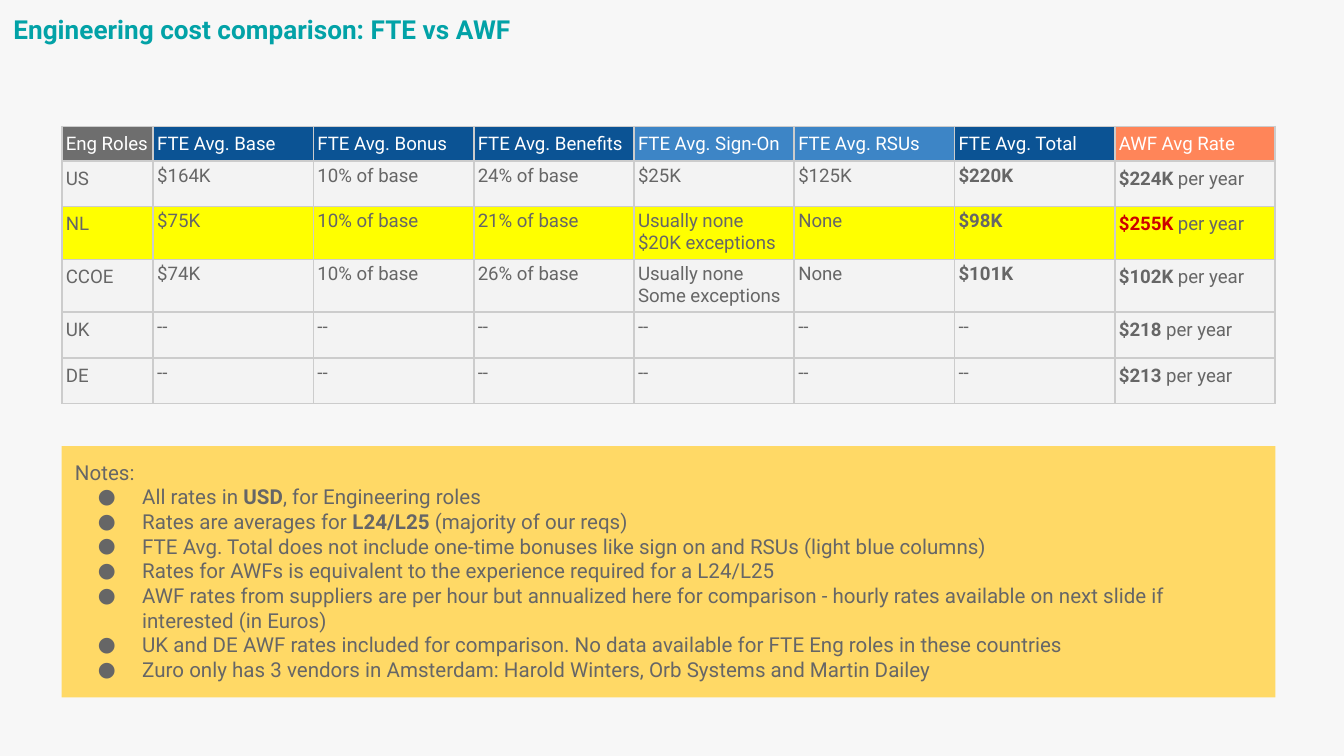
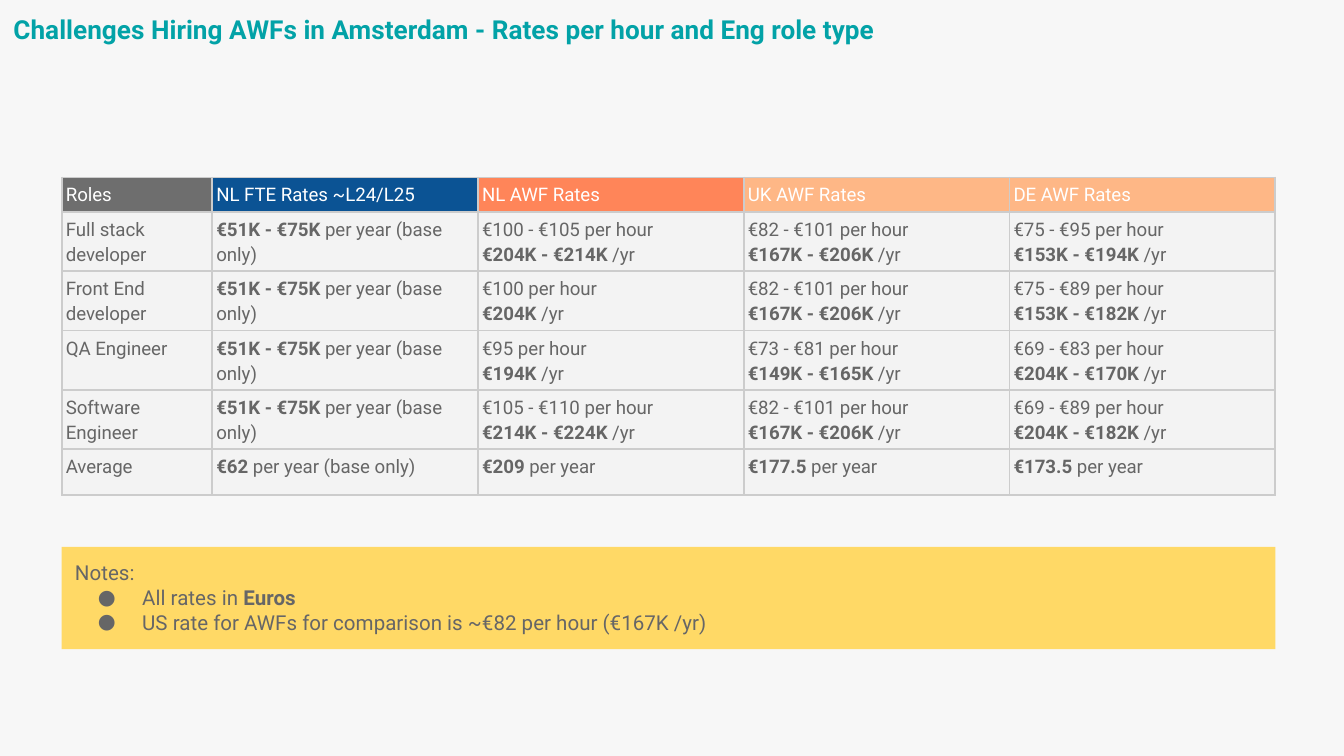
from dataclasses import dataclass

from lxml import etree
from pptx import Presentation
from pptx.dml.color import RGBColor
from pptx.enum.shapes import MSO_SHAPE
from pptx.enum.text import MSO_ANCHOR, MSO_AUTO_SIZE, PP_ALIGN
from pptx.oxml.ns import qn
from pptx.util import Inches, Pt

RECTANGLE = MSO_SHAPE.RECTANGLE
TOP = MSO_ANCHOR.TOP
LEFT = PP_ALIGN.LEFT
NO_FIT = MSO_AUTO_SIZE.NONE
GROW = MSO_AUTO_SIZE.SHAPE_TO_FIT_TEXT

FONT = "Roboto"
PAPER = RGBColor(0xF7, 0xF7, 0xF7)
TEAL = RGBColor(0x02, 0xA2, 0xA7)
GREY_TEXT = RGBColor(0x66, 0x66, 0x66)
WHITE = RGBColor(0xFF, 0xFF, 0xFF)
RED = RGBColor(0xCC, 0x00, 0x00)
NOTE_YELLOW = RGBColor(0xFF, 0xD9, 0x66)
HIGHLIGHT = RGBColor(0xFF, 0xFF, 0x00)
CELL_GREY = RGBColor(0xF3, 0xF3, 0xF3)
BORDER = RGBColor(0xCC, 0xCC, 0xCC)
DARK_GREY = RGBColor(0x6E, 0x6E, 0x6E)
DARK_BLUE = RGBColor(0x0B, 0x53, 0x94)
LIGHT_BLUE = RGBColor(0x3D, 0x85, 0xC6)
ORANGE = RGBColor(0xFF, 0x85, 0x59)
PEACH = RGBColor(0xFE, 0xB7, 0x86)

PAGE_WIDTH = 10
PAGE_HEIGHT = PAGE_WIDTH * 9 / 16
MARGIN = 0.46
CONTENT_WIDTH = 9.03
HEADER_HEIGHT = 0.23
ROW_HEIGHT = 0.34
LOOSE = 1.15
NOTE_SIZE = 11


@dataclass(frozen=True)
class Header:
    text: str
    fill: RGBColor


@dataclass(frozen=True)
class Row:
    cells: list[str]
    fill: RGBColor = CELL_GREY


@dataclass(frozen=True)
class RateTable:
    top: float
    first_width: float
    headers: list[Header]
    rows: list[Row]
    tight_columns: range = range(0)


@dataclass(frozen=True)
class Notes:
    top: float
    height: float
    items: list[str]


@dataclass(frozen=True)
class RatePage:
    title: str
    table: RateTable
    notes: Notes


def write(para, text: str, *, size: float, color: RGBColor = GREY_TEXT,
          bold: bool = False, spacing: float | None = None) -> None:
    """Parts between asterisks are bold; a leading ! also makes them red."""
    para.alignment = LEFT
    if spacing:
        para.line_spacing = spacing
    for index, part in enumerate(text.split("*")):
        if not part:
            continue
        span = para.add_run()
        span.text = part.removeprefix("!")
        span.font.name = FONT
        span.font.size = Pt(size)
        span.font.bold = bold or index % 2 == 1
        span.font.color.rgb = RED if part.startswith("!") else color


def add_bullet(para) -> None:
    properties = para._p.get_or_add_pPr()
    properties.set("marL", str(Inches(0.5)))
    properties.set("indent", str(Inches(-0.33)))
    color = etree.SubElement(properties, qn("a:buClr"))
    etree.SubElement(color, qn("a:srgbClr"), val=str(GREY_TEXT))
    etree.SubElement(properties, qn("a:buSzPts"), val=str(NOTE_SIZE * 100))
    etree.SubElement(properties, qn("a:buFont"), typeface=FONT)
    etree.SubElement(properties, qn("a:buChar"), char="●")


def set_insets(target, inset: float) -> None:
    for side in ("left", "top", "right", "bottom"):
        setattr(target, f"margin_{side}", Inches(inset))


def add_borders(cell) -> None:
    properties = cell._tc.get_or_add_tcPr()
    for edge in ("lnL", "lnR", "lnT", "lnB"):
        line = etree.SubElement(properties, qn(f"a:{edge}"), w=str(Pt(1)))
        fill = etree.SubElement(line, qn("a:solidFill"))
        etree.SubElement(fill, qn("a:srgbClr"), val=str(BORDER))


def fill_cell(cell, text: str, *, fill: RGBColor, color: RGBColor, spacing: float | None) -> None:
    add_borders(cell)
    cell.fill.solid()
    cell.fill.fore_color.rgb = fill
    set_insets(cell, 0.03)
    cell.margin_bottom = Inches(0.04)
    for index, line in enumerate(text.split("\n")):
        para = cell.text_frame.add_paragraph() if index else cell.text_frame.paragraphs[0]
        write(para, line, size=10, color=color, spacing=spacing)


def add_title(page, text: str) -> None:
    title = page.shapes.title
    title.left, title.top, title.width, title.height = (
        Inches(0), Inches(0), Inches(PAGE_WIDTH), Inches(0.44))
    frame = title.text_frame
    frame.auto_size = NO_FIT
    frame.vertical_anchor = TOP
    set_insets(frame, 0.1)
    write(frame.paragraphs[0], text, size=14, color=TEAL, bold=True)


def add_rates(page, rates: RateTable) -> None:
    row_count, column_count = len(rates.rows) + 1, len(rates.headers)
    height = HEADER_HEIGHT + ROW_HEIGHT * len(rates.rows)
    table = page.shapes.add_table(
        row_count, column_count, Inches(MARGIN), Inches(rates.top),
        Inches(CONTENT_WIDTH), Inches(height)).table
    table.horz_banding = False
    other_width = (CONTENT_WIDTH - rates.first_width) / (column_count - 1)
    for index, column in enumerate(table.columns):
        column.width = Inches(other_width if index else rates.first_width)
    for index, row in enumerate(table.rows):
        row.height = Inches(ROW_HEIGHT if index else HEADER_HEIGHT)
    for column, header in enumerate(rates.headers):
        fill_cell(table.cell(0, column), header.text, fill=header.fill,
                  color=WHITE, spacing=LOOSE)
    for number, row in enumerate(rates.rows, start=1):
        for column, text in enumerate(row.cells):
            spacing = None if column in rates.tight_columns else LOOSE
            fill_cell(table.cell(number, column), text, fill=row.fill,
                      color=GREY_TEXT, spacing=spacing)


def add_notes(page, notes: Notes) -> None:
    box = page.shapes.add_shape(
        RECTANGLE, Inches(MARGIN), Inches(notes.top),
        Inches(CONTENT_WIDTH), Inches(notes.height))
    box.shadow.inherit = False
    box.fill.solid()
    box.fill.fore_color.rgb = NOTE_YELLOW
    box.line.fill.background()
    frame = box.text_frame
    frame.word_wrap = True
    frame.auto_size = GROW
    frame.vertical_anchor = TOP
    set_insets(frame, 0.1)
    write(frame.paragraphs[0], "Notes:", size=NOTE_SIZE)
    for item in notes.items:
        para = frame.add_paragraph()
        add_bullet(para)
        write(para, item, size=NOTE_SIZE)


NO_FTE_DATA = ["--"] * 6
NL_FTE = "*€51K - €75K* per year (base only)"
UK_USUAL = "€82 - €101 per hour\n*€167K - €206K* /yr"

PAGES = [
    RatePage(
        "Engineering cost comparison: FTE vs AWF",
        RateTable(
            0.94, 0.68,
            [
                Header("Eng Roles", DARK_GREY),
                Header("FTE Avg. Base", DARK_BLUE),
                Header("FTE Avg. Bonus", DARK_BLUE),
                Header("FTE Avg. Benefits", DARK_BLUE),
                Header("FTE Avg. Sign-On", LIGHT_BLUE),
                Header("FTE Avg. RSUs", LIGHT_BLUE),
                Header("FTE Avg. Total", DARK_BLUE),
                Header("AWF Avg Rate", ORANGE),
            ],
            [
                Row(["US", "$164K", "10% of base", "24% of base", "$25K", "$125K",
                     "*$220K*", "*$224K* per year"]),
                Row(["NL", "$75K", "10% of base", "21% of base",
                     "Usually none\n$20K exceptions", "None",
                     "*$98K*", "*!$255K* per year"], HIGHLIGHT),
                Row(["CCOE", "$74K", "10% of base", "26% of base",
                     "Usually none\nSome exceptions", "None",
                     "*$101K*", "*$102K* per year"]),
                Row(["UK", *NO_FTE_DATA, "*$218* per year"]),
                Row(["DE", *NO_FTE_DATA, "*$213* per year"]),
            ],
            tight_columns=range(1, 7),
        ),
        Notes(3.32, 1.87, [
            "All rates in *USD*, for Engineering roles",
            "Rates are averages for *L24/L25* (majority of our reqs)",
            "FTE Avg. Total does not include one-time bonuses like sign on and RSUs "
            "(light blue columns)",
            "Rates for AWFs is equivalent to the experience required for a L24/L25",
            "AWF rates from suppliers are per hour but annualized here for comparison - "
            "hourly rates available on next slide if interested (in Euros)",
            "UK and DE AWF rates included for comparison. No data available for FTE Eng "
            "roles in these countries",
            "Zuro only has 3 vendors in Amsterdam: Harold Winters, Orb Systems and "
            "Martin Dailey",
        ]),
    ),
    RatePage(
        "Challenges Hiring AWFs in Amsterdam - Rates per hour and Eng role type",
        RateTable(
            1.32, 1.12,
            [
                Header("Roles", DARK_GREY),
                Header("NL FTE Rates ~L24/L25", DARK_BLUE),
                Header("NL AWF Rates", ORANGE),
                Header("UK AWF Rates", PEACH),
                Header("DE AWF Rates", PEACH),
            ],
            [
                Row(["Full stack developer", NL_FTE,
                     "€100 - €105 per hour\n*€204K - €214K* /yr", UK_USUAL,
                     "€75 - €95 per hour\n*€153K - €194K* /yr"]),
                Row(["Front End developer", NL_FTE,
                     "€100 per hour\n*€204K* /yr", UK_USUAL,
                     "€75 - €89 per hour\n*€153K - €182K* /yr"]),
                Row(["QA Engineer", NL_FTE,
                     "€95 per hour\n*€194K* /yr",
                     "€73 - €81 per hour\n*€149K - €165K* /yr",
                     "€69 - €83 per hour\n*€204K - €170K* /yr"]),
                Row(["Software Engineer", NL_FTE,
                     "€105 - €110 per hour\n*€214K - €224K* /yr", UK_USUAL,
                     "€69 - €89 per hour\n*€204K - €182K* /yr"]),
                Row(["Average", "*€62* per year (base only)", "*€209* per year",
                     "*€177.5* per year", "*€173.5* per year"]),
            ],
        ),
        Notes(4.07, 0.76, [
            "All rates in *Euros*",
            "US rate for AWFs for comparison is ~€82 per hour (€167K /yr)",
        ]),
    ),
]


def main() -> None:
    deck = Presentation()
    deck.slide_width, deck.slide_height = Inches(PAGE_WIDTH), Inches(PAGE_HEIGHT)
    background = deck.slide_master.background.fill
    background.solid()
    background.fore_color.rgb = PAPER
    title_only = deck.slide_layouts.get_by_name("Title Only")
    for content in PAGES:
        page = deck.slides.add_slide(title_only)
        add_title(page, content.title)
        add_rates(page, content.table)
        add_notes(page, content.notes)
    deck.save("out.pptx")


if __name__ == "__main__":
    main()
